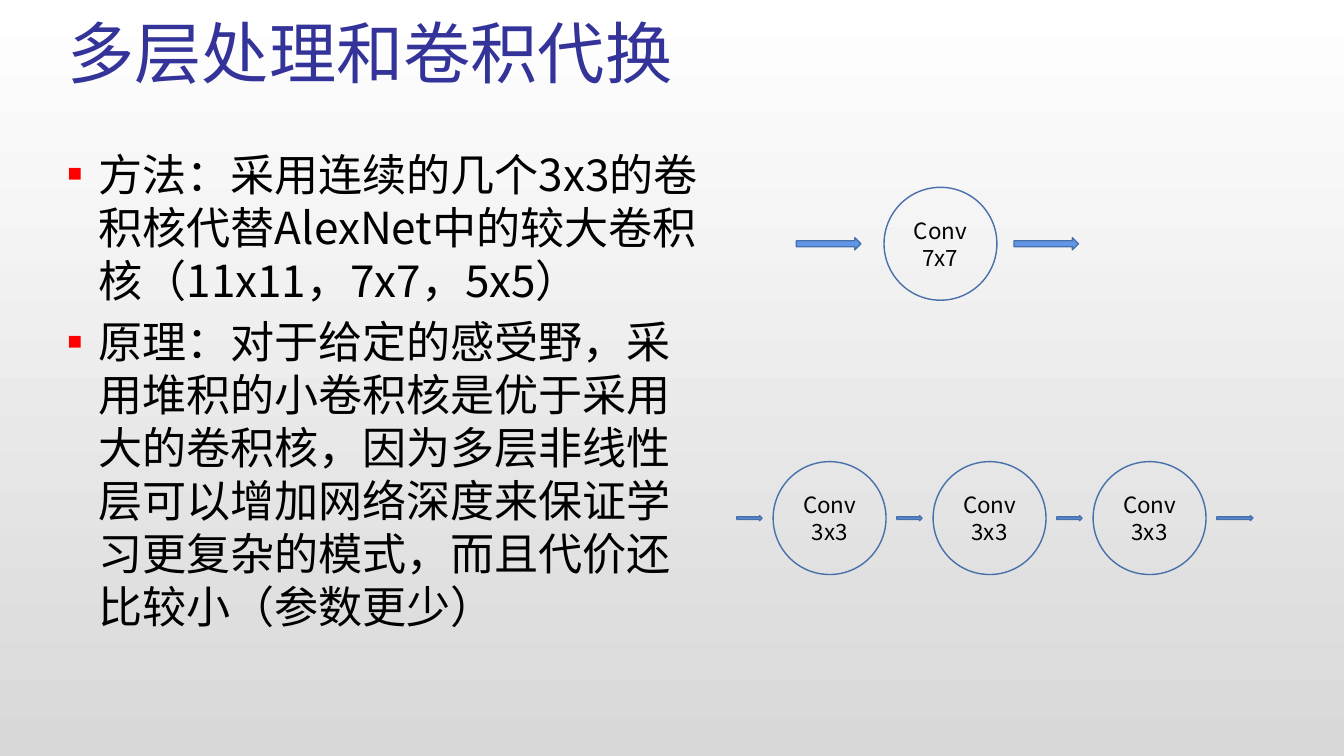
from dataclasses import dataclass

from lxml.etree import SubElement
from pptx import Presentation
from pptx.dml.color import RGBColor
from pptx.enum.shapes import MSO_SHAPE
from pptx.enum.text import MSO_ANCHOR, MSO_AUTO_SIZE, PP_ALIGN
from pptx.oxml.ns import qn
from pptx.util import Inches, Pt

COLUMNS, ROWS = 160, 90
CELL = Inches(7.5) / ROWS


@dataclass(frozen=True)
class Theme:
    """Colours, fonts and type sizes of the slide."""
    title: str = "333399"
    text: str = "000000"
    bullet: str = "FF0000"
    arrow: str = "6096E6"
    outline: str = "476FAA"
    sky: str = "FFFFFF"
    ground: str = "D8D8D8"
    font: str = "Noto Sans CJK SC"
    title_size: float = 48
    body_size: float = 31.5
    label_size: float = 16


@dataclass(frozen=True)
class Box:
    """A rectangle in grid columns and rows."""
    left: float
    top: float
    width: float
    height: float

    def emu(self):
        """Return the rectangle in slide units."""
        return [round(n * CELL) for n in (self.left, self.top, self.width, self.height)]


THEME = Theme()
POINTS = [
    [("方法：", "Times New Roman"),
     ("采用连续的几个3x3的卷积核代替AlexNet中的较大卷积核（11x11，7x7，5x5）", THEME.font)],
    [("原理：", "Roboto"),
     ("对于给定的感受野，采用堆积的小卷积核是优于采用大的卷积核，因为多层非线性层可以增加网络深度"
      "来保证学习更复杂的模式，而且代价还比较小（参数更少）", THEME.font)],
]


def write(paragraph, text, *, size, color=THEME.text, font=THEME.font, align=PP_ALIGN.LEFT):
    """Add formatted text to a paragraph."""
    paragraph.alignment = align
    run = paragraph.add_run()
    run.text = text
    run.font.size = Pt(size)
    run.font.name = font
    run.font.color.rgb = RGBColor.from_string(color)
    SubElement(run.font._element, qn("a:ea"), typeface=THEME.font)


def place(placeholder, box, anchor):
    """Move a placeholder to its box and return its text frame."""
    placeholder.left, placeholder.top, placeholder.width, placeholder.height = box.emu()
    frame = placeholder.text_frame
    frame.auto_size = MSO_AUTO_SIZE.NONE
    frame.word_wrap = True
    frame.vertical_anchor = anchor
    return frame


def add_bullet(paragraph):
    """Give a paragraph a hanging red square."""
    properties = paragraph._p.get_or_add_pPr()
    properties.set("marL", str(Inches(0.81)))
    properties.set("indent", str(Inches(-0.31)))
    color = SubElement(properties, qn("a:buClr"))
    SubElement(color, qn("a:srgbClr"), val=THEME.bullet)
    SubElement(properties, qn("a:buSzPct"), val="55000")
    SubElement(properties, qn("a:buChar"), char="■")


def add_background(slide):
    """Shade the slide from white down to grey."""
    fill = slide.background.fill
    fill.gradient()
    fill.gradient_angle = 270
    for stop, color in zip(fill.gradient_stops, (THEME.sky, THEME.ground)):
        stop.color.rgb = RGBColor.from_string(color)


def add_heading(slide, box):
    """Write the slide title."""
    frame = place(slide.shapes.title, box, MSO_ANCHOR.BOTTOM)
    write(frame.paragraphs[0], "多层处理和卷积代换",
          size=THEME.title_size, color=THEME.title)


def add_points(slide, box):
    """Write the bulleted method and principle."""
    frame = place(slide.placeholders[1], box, MSO_ANCHOR.TOP)
    for index, point in enumerate(POINTS):
        paragraph = frame.add_paragraph() if index else frame.paragraphs[0]
        add_bullet(paragraph)
        paragraph.space_before = Pt(6.3 if index else 0)
        for text, font in point:
            write(paragraph, text, size=THEME.body_size, font=font)


def add_part(slide, kind, box, fill=None):
    """Draw one outlined part of a chain."""
    part = slide.shapes.add_shape(kind, *box.emu())
    part.shadow.inherit = False
    if fill:
        part.fill.solid()
        part.fill.fore_color.rgb = RGBColor.from_string(fill)
    else:
        part.fill.background()
    part.line.color.rgb = RGBColor.from_string(THEME.outline)
    part.line.width = Pt(1)
    return part


def add_kernel(slide, box, size):
    """Draw a convolution circle with its kernel size."""
    frame = add_part(slide, MSO_SHAPE.OVAL, box).text_frame
    frame.margin_left = frame.margin_right = 0
    frame.word_wrap = True
    frame.vertical_anchor = MSO_ANCHOR.MIDDLE
    for paragraph, text in ((frame.paragraphs[0], "Conv"), (frame.add_paragraph(), size)):
        write(paragraph, text, size=THEME.label_size, align=PP_ALIGN.CENTER)


def add_chain(slide, box, kernels, lead, arrow_length, arrow_height):
    """Draw kernels in a row, with arrows before, between and after them."""
    last_length = max(arrow_length, box.height * 0.32)
    pitch = (box.width - last_length) / len(kernels)
    arrow_top = box.top + (box.height - arrow_height) / 2
    for index in range(len(kernels) + 1):
        left = box.left + index * pitch
        length = last_length if index == len(kernels) else arrow_length
        add_part(slide, MSO_SHAPE.RIGHT_ARROW,
                 Box(left, arrow_top, length, arrow_height), THEME.arrow)
        if index < len(kernels):
            add_kernel(slide, Box(left + lead, box.top, box.height, box.height), kernels[index])


def main():
    """Build the slide and save it."""
    deck = Presentation()
    deck.slide_width, deck.slide_height = round(COLUMNS * CELL), round(ROWS * CELL)
    slide = deck.slides.add_slide(deck.slide_layouts[1])
    add_background(slide)
    add_heading(slide, Box(6.84, 0.96, 115.3, 10.56))
    add_points(slide, Box(0.84, 16.92, 84.12, 64.32))
    add_chain(slide, Box(94.8, 22.3, 33.6, 13.44), ["7x7"],
              lead=10.44, arrow_length=7.68, arrow_height=1.44)
    add_chain(slide, Box(87.72, 54.96, 61.44, 13.44), ["3x3"] * 3,
              lead=4.32, arrow_length=3, arrow_height=0.6)
    deck.save("out.pptx")


if __name__ == "__main__":
    main()
